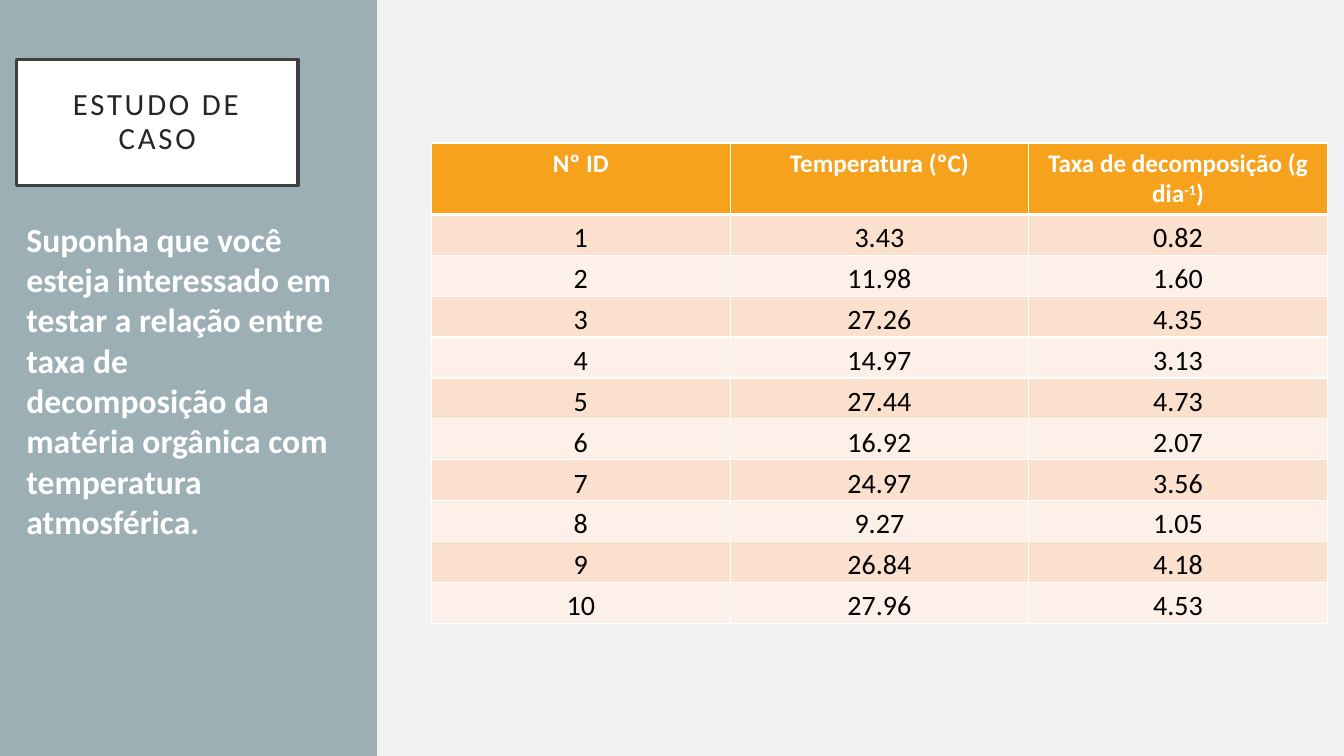
from lxml import etree
from pptx import Presentation
from pptx import util as u
from pptx.dml import color
from pptx.enum import shapes, text
from pptx.oxml import ns

COLORS = {
    "background": "F2F2F2", "panel": "9BAFB5", "white": "FFFFFF",
    "frame": "404040", "title": "262626", "header": "F6A21D",
    "odd": "FBE0CD", "even": "FDF0E8", "black": "000000",
}
HEADERS = [["Nº ID"], ["Temperatura (ºC)"], ["Taxa de decomposição (g dia", "-1", ")"]]
MEASURES = [
    ("3.43", "0.82"), ("11.98", "1.60"), ("27.26", "4.35"), ("14.97", "3.13"),
    ("27.44", "4.73"), ("16.92", "2.07"), ("24.97", "3.56"), ("9.27", "1.05"),
    ("26.84", "4.18"), ("27.96", "4.53"),
]


def rgb(name):
    return color.RGBColor.from_string(COLORS[name])


class CaseStudySlide:
    """Holds the style and the slide, and draws each kind of element."""

    font = "Calibri"

    def __init__(self, page):
        self.page = page
        page.background.fill.solid()
        page.background.fill.fore_color.rgb = rgb("background")

    def style(self, para, size, ink, bold=False, align=text.PP_ALIGN.CENTER):
        para.alignment = align
        para.font.name = self.font
        para.font.size = u.Pt(size)
        para.font.bold = bold
        para.font.color.rgb = rgb(ink)

    def rectangle(self, left, top, width, height, fill, line=None):
        box = self.page.shapes.add_shape(
            shapes.MSO_SHAPE.RECTANGLE, u.Pt(left), u.Pt(top), u.Pt(width), u.Pt(height))
        box.shadow.inherit = False
        box.fill.solid()
        box.fill.fore_color.rgb = rgb(fill)
        if line:
            box.line.color.rgb = rgb(line)
            box.line.width = u.Pt(2.5)
        else:
            box.line.fill.background()
        return box

    def title(self, words, left, top, width, height):
        frame = self.rectangle(left, top, width, height, "white", "frame").text_frame
        frame.word_wrap = True
        frame.vertical_anchor = text.MSO_ANCHOR.MIDDLE
        frame.margin_left = frame.margin_right = u.Pt(14.4)
        frame.margin_top = frame.margin_bottom = u.Pt(14.4)
        para = frame.paragraphs[0]
        para.line_spacing = 0.9
        self.style(para, 22, "title")
        span = para.add_run()
        span.text = words
        span._r.get_or_add_rPr().set("spc", "200")

    def body(self, words, left, top, width, height):
        frame = self.page.shapes.add_textbox(
            u.Pt(left), u.Pt(top), u.Pt(width), u.Pt(height)).text_frame
        frame.word_wrap = True
        para = frame.paragraphs[0]
        para.text = words
        para.space_before = u.Pt(10)
        self.style(para, 24, "white", True, text.PP_ALIGN.LEFT)

    def borders(self, cell, bottom):
        properties = cell._tc.get_or_add_tcPr()
        for side, width in (("L", 1), ("R", 1), ("T", 1), ("B", bottom)):
            line = etree.SubElement(properties, ns.qn(f"a:ln{side}"), w=str(u.Pt(width)))
            fill = etree.SubElement(line, ns.qn("a:solidFill"))
            etree.SubElement(fill, ns.qn("a:srgbClr"), val=COLORS["white"])

    def cell(self, cell, pieces, fill, size, ink, bold=False, bottom=1):
        self.borders(cell, bottom)
        cell.fill.solid()
        cell.fill.fore_color.rgb = rgb(fill)
        para = cell.text_frame.paragraphs[0]
        self.style(para, size, ink, bold)
        for index, piece in enumerate(pieces):
            span = para.add_run()
            span.text = piece
            if index == 1:
                span._r.get_or_add_rPr().set("baseline", "30000")

    def table(self, headers, rows, left, top, width, header_height, row_height):
        height = header_height + row_height * len(rows)
        grid = self.page.shapes.add_table(
            len(rows) + 1, len(headers), u.Pt(left), u.Pt(top), u.Pt(width), u.Pt(height)).table
        for column in grid.columns:
            column.width = u.Pt(width / len(headers))
        for row in grid.rows:
            row.height = u.Pt(row_height)
        grid.rows[0].height = u.Pt(header_height)
        for x, pieces in enumerate(headers):
            self.cell(grid.cell(0, x), pieces, "header", 18, "white", True, 3)
        for y, values in enumerate(rows, 1):
            for x, value in enumerate(values):
                cell = grid.cell(y, x)
                self.cell(cell, [value], "odd" if y % 2 else "even", 20, "black")
                cell.vertical_anchor = text.MSO_ANCHOR.BOTTOM
                cell.margin_left = cell.margin_right = cell.margin_top = u.Pt(0.75)
                cell.margin_bottom = 0


def main():
    deck = Presentation()
    deck.slide_width, deck.slide_height = u.Pt(960), u.Pt(540)
    slide = CaseStudySlide(deck.slides.add_slide(deck.slide_layouts[6]))
    slide.rectangle(0, 0, 269.3, 540, "panel")
    slide.title("ESTUDO DE CASO", 11.8, 42.5, 201, 90)
    slide.body(
        "Suponha que você esteja interessado em testar a relação entre taxa de "
        "decomposição da matéria orgânica com temperatura atmosférica.",
        11.8, 152.6, 233.3, 344.9)
    rows = [(str(number), *pair) for number, pair in enumerate(MEASURES, 1)]
    slide.table(HEADERS, rows, 308.2, 102.2, 640, 51, 29.2)
    deck.save("out.pptx")


if __name__ == "__main__":
    main()
